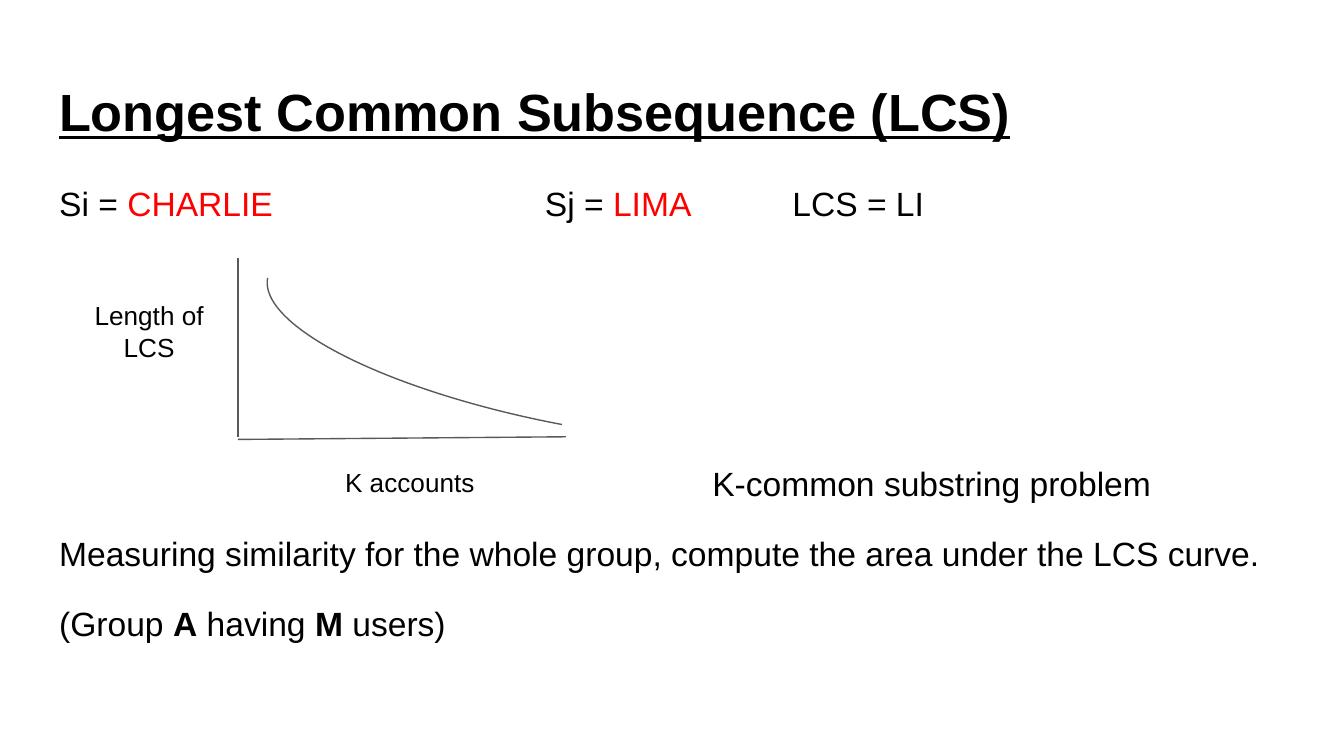
"""Build the Longest Common Subsequence slide."""
from typing import NamedTuple, Optional

from lxml import etree
from pptx import Presentation
from pptx.dml.color import RGBColor
from pptx.enum import shapes, text
from pptx.oxml import ns
from pptx.util import Inches, Pt

COLORS = {"text": "000000", "word": "FF0000", "line": "595959"}
FONT = "Arial"


class Run(NamedTuple):
    text: str
    color: str = "text"
    bold: bool = False
    spacing: float = 0


class Para(NamedTuple):
    runs: list[Run]
    before: float = 16
    after: float = 0
    indent: float = 0


class Box(NamedTuple):
    x: float
    y: float
    w: float
    h: float


class Label(NamedTuple):
    text: str
    box: Box


class Axis(NamedTuple):
    x1: float
    y1: float
    x2: float
    y2: float


BODY = [
    Para([Run("Si = "), Run("CHARLIE", "word"), Run(" ", "word", spacing=140.7),
          Run("Sj = "), Run("LIMA", "word"), Run(" ", "word", spacing=49.1),
          Run("LCS = LI")], before=0),
    Para([Run("K-common substring problem")], before=128.4, indent=4.86),
    Para([Run("Measuring similarity for the whole group, "
              "compute the area under the LCS curve.")]),
    Para([Run("(Group "), Run("A", bold=True), Run(" having "),
          Run("M", bold=True), Run(" users)")], after=16),
]
AXES = [Axis(1.77, 1.92, 1.77, 3.25), Axis(1.77, 3.27, 4.21, 3.25)]
LABELS = [
    Label("Length of LCS", Box(0.54, 2.13, 1.14, 0.93)),
    Label("K accounts", Box(2.2, 3.37, 1.7, 0.45)),
]


def rgb(name: str) -> RGBColor:
    return RGBColor.from_string(COLORS[name])


def lengths(box: Box) -> list[int]:
    return [Inches(v) for v in box]


def place(sp, box: Box) -> None:
    sp.left, sp.top, sp.width, sp.height = lengths(box)


def frame(sp):
    tf = sp.text_frame
    tf.word_wrap = True
    tf.auto_size = text.MSO_AUTO_SIZE.NONE
    tf.vertical_anchor = text.MSO_ANCHOR.TOP
    tf.margin_left = tf.margin_right = Inches(0.1)
    tf.margin_top = tf.margin_bottom = Inches(0.1)
    return tf


def add_run(p, run: Run, size: float, underline: Optional[bool] = None) -> None:
    r = p.add_run()
    r.text = run.text
    r.font.name, r.font.size = FONT, Pt(size)
    r.font.bold, r.font.underline = run.bold, underline
    r.font.color.rgb = rgb(run.color)
    if run.spacing:
        r._r.get_or_add_rPr().set("spc", str(round(run.spacing * 100)))


def add_title(sp) -> None:
    place(sp, Box(0.34, 0.49, 9.32, 0.63))
    p = frame(sp).paragraphs[0]
    p.alignment, p.line_spacing = text.PP_ALIGN.LEFT, 1.0
    add_run(p, Run("Longest Common Subsequence (LCS)", bold=True), 28, True)


def add_body(sp, paras: list[Para]) -> None:
    place(sp, Box(0.34, 1.26, 9.32, 3.74))
    tf = frame(sp)
    for i, para in enumerate(paras):
        p = tf.add_paragraph() if i else tf.paragraphs[0]
        p.line_spacing = 1.0
        p.space_before, p.space_after = Pt(para.before), Pt(para.after)
        ppr = p._p.get_or_add_pPr()
        ppr.set("marL", str(Inches(para.indent)))
        ppr.set("indent", "0")
        etree.SubElement(ppr, ns.qn("a:buNone"))
        for run in para.runs:
            add_run(p, run, 18)


def style_line(sp) -> None:
    sp.line.color.rgb = rgb("line")
    sp.line.width = Pt(0.75)


def add_axis(s, axis: Axis) -> None:
    sp = s.shapes.add_connector(shapes.MSO_CONNECTOR.STRAIGHT,
                                *(Inches(v) for v in axis))
    style_line(sp)
    etree.SubElement(sp._element.spPr, ns.qn("a:effectLst"))


def add_curve(s, box: Box, rotation: float) -> None:
    sp = s.shapes.add_shape(shapes.MSO_SHAPE.ARC, *lengths(box))
    sp.rotation = rotation
    sp.shadow.inherit = False
    sp.fill.background()
    style_line(sp)


def add_label(s, label: Label) -> None:
    sp = s.shapes.add_textbox(*lengths(label.box))
    p = frame(sp).paragraphs[0]
    p.alignment = text.PP_ALIGN.CENTER
    add_run(p, Run(label.text), 14)


def main() -> None:
    prs = Presentation()
    prs.slide_width = Inches(10)
    prs.slide_height = prs.slide_width * 9 // 16
    s = prs.slides.add_slide(prs.slide_layouts[1])
    add_title(s.shapes.title)
    add_body(s.placeholders[1], BODY)
    for axis in AXES:
        add_axis(s, axis)
    add_curve(s, Box(1.95, 1.84, 4.71, 1.33), 190.7)
    for label in LABELS:
        add_label(s, label)
    prs.save("out.pptx")


if __name__ == "__main__":
    main()
